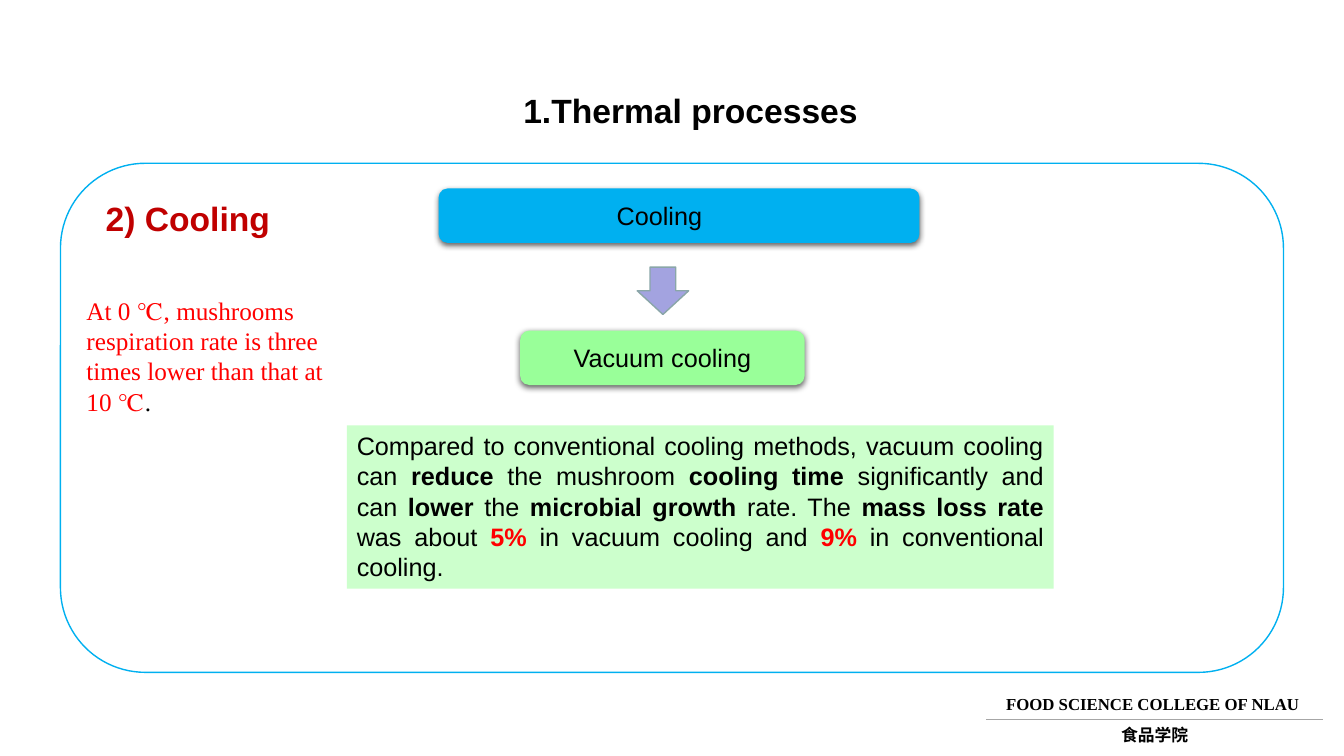
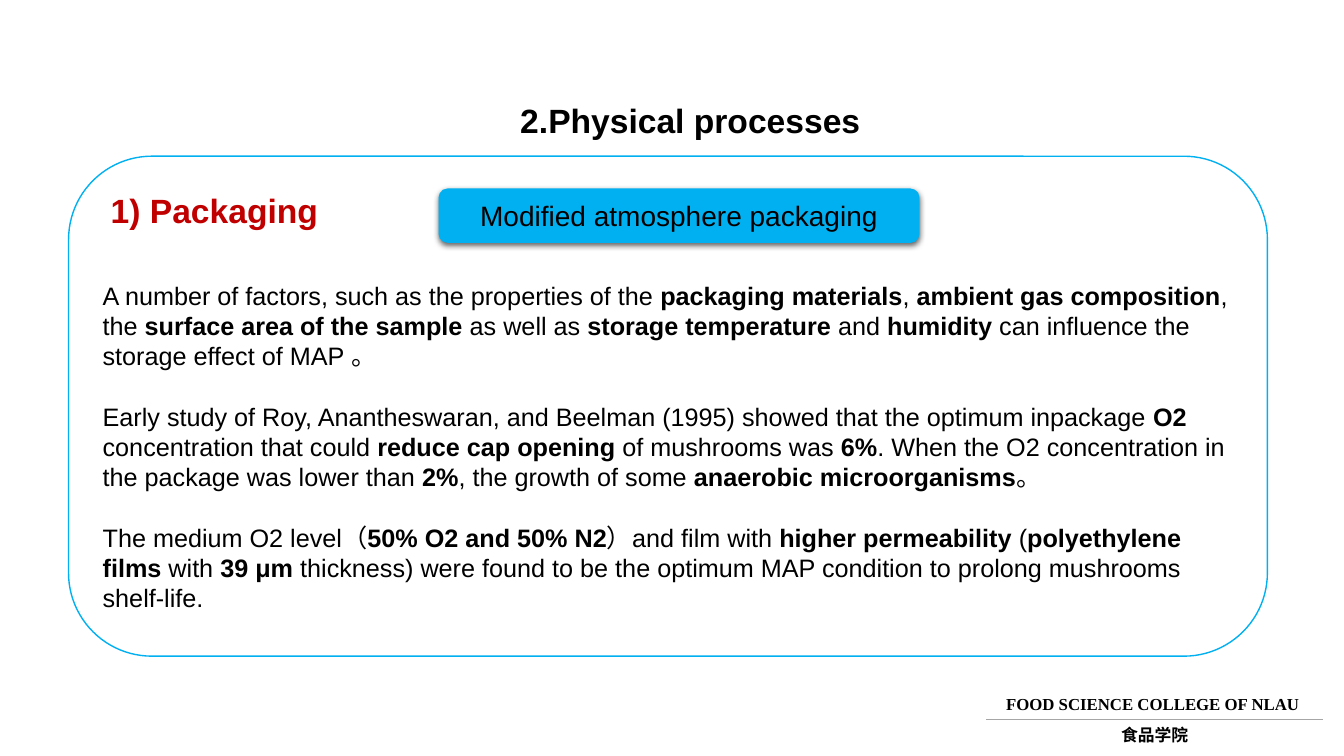
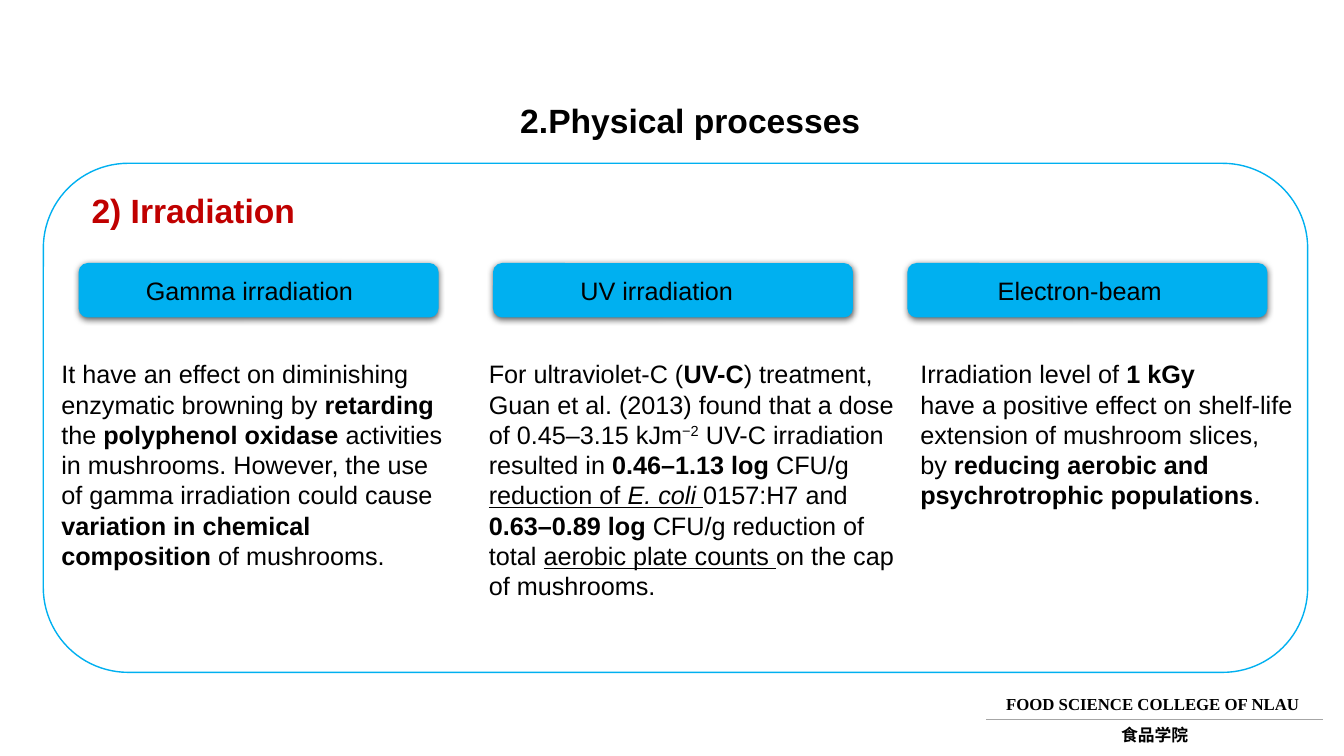
"""Build three slides on thermal and physical processing of mushrooms."""
from lxml import etree
from pptx import Presentation
from pptx.dml.color import RGBColor
from pptx.enum import shapes, text
from pptx.oxml import ns
from pptx.util import Inches, Pt

BLACK = RGBColor(0x00, 0x00, 0x00)
WHITE = RGBColor(0xFF, 0xFF, 0xFF)
RED = RGBColor(0xFF, 0x00, 0x00)
DARK_RED = RGBColor(0xC0, 0x00, 0x00)
BLUE = RGBColor(0x00, 0xB0, 0xF0)
GREEN = RGBColor(0x99, 0xFF, 0x99)
PALE_GREEN = RGBColor(0xCC, 0xFF, 0xCC)
LILAC = RGBColor(0xA3, 0xA3, 0xE0)
SLATE = RGBColor(0x8A, 0xA6, 0xA8)
GREY = RGBColor(0xA6, 0xA6, 0xA6)

SANS, SERIF, CJK = "Arial", "Times New Roman", "Noto Sans CJK SC"
INSET = 0.1
PILL_HEIGHT = 0.54

FOOTERS = [
    ("FOOD SCIENCE COLLEGE OF NLAU", SERIF, (9.88, 6.83, 3.17, 0.3)),
    ("食品学院", CJK, (11.02, 7.14, 0.88, 0.3)),
]

# Styles: b bold, i italic, u underlined, r red, ^ superscript
VACUUM_COOLING = [[
    "Compared to conventional cooling methods, vacuum cooling can ", ("reduce", "b"),
    " the mushroom ", ("cooling time ", "b"), "significantly and can ", ("lower", "b"),
    " the ", ("microbial growth", "b"), " rate. The ", ("mass loss rate ", "b"),
    "was about ", ("5% ", "br"), "in vacuum cooling and ", ("9%", "br"),
    " in conventional cooling.",
]]
RESPIRATION = [[
    ("At 0 ℃, mushrooms respiration rate is three times lower than that at 10 ℃", "r"), ".",
]]
PACKAGING = [
    ["A number of factors, such as the properties of the ", ("packaging materials", "b"),
     ", ", ("ambient gas composition", "b"), ", the ",
     ("surface area of the sample ", "b"), "as well as ", ("storage temperature ", "b"),
     "and ", ("humidity", "b"), " can influence the storage effect of MAP 。"],
    ["Early study of Roy, Anantheswaran, and Beelman (1995) showed that the optimum "
     "inpackage ", ("O2", "b"), " concentration that could ", ("reduce cap opening ", "b"),
     "of mushrooms was ", ("6%", "b"),
     ". When the O2 concentration in the package was lower than ", ("2%", "b"),
     ", the growth of some ", ("anaerobic microorganisms", "b"), "。"],
    ["The medium O2 level（", ("50% O2 and 50% N2", "b"), "）and film with ",
     ("higher permeability ", "b"), "(", ("polyethylene films", "b"), " with ",
     ("39 μm ", "b"), "thickness) were found to be the optimum MAP condition to "
     "prolong mushrooms shelf-life."],
]
IRRADIATION = [
    ("Gamma irradiation", 1.32, 0.51, 4, [
        ["It have an effect on diminishing enzymatic browning by ", ("retarding", "b"),
         " the ", ("polyphenol oxidase ", "b"),
         "activities in mushrooms. However, the use of gamma irradiation could cause ",
         ("variation in chemical composition ", "b"), "of mushrooms."],
    ]),
    ("UV irradiation", 5.63, 4.75, 4.29, [
        ["For ultraviolet-C (", ("UV-C", "b"),
         ") treatment, Guan et al. (2013) found that a dose of 0.45–3.15 kJm",
         ("−2", "^"), " UV-C irradiation"],
        ["resulted in ", ("0.46–1.13 log ", "b"), "CFU/g ", ("reduction of ", "u"),
         ("E. coli ", "ui"), "0157:H7 and"],
        [("0.63–0.89 log ", "b"), "CFU/g reduction of total ",
         ("aerobic plate counts ", "u"), "on the cap"],
        ["of mushrooms."],
    ]),
    ("Electron-beam", 9.77, 9.03, 3.89, [
        ["Irradiation level of ", ("1 kGy", "b")],
        ["have a positive effect on shelf-life extension of mushroom slices, by ",
         ("reducing aerobic and psychrotrophic populations", "b"), "."],
    ]),
]
SLIDES = [
    ("1.Thermal processes", (5.09, 0.84, 3.7, 0.51), (0.6, 1.62, 12.13, 5.05),
     "2) Cooling", (0.95, 1.91)),
    ("2.Physical processes", (5.06, 0.94, 3.63, 0.51), (0.68, 1.55, 11.89, 4.96),
     "1) Packaging", (1, 1.83)),
    ("2.Physical processes", (5.06, 0.94, 3.63, 0.51), (0.43, 1.62, 12.54, 5.05),
     "2) Irradiation", (0.81, 1.83)),
]


def inches(box):
    return [Inches(value) for value in box]


def write(shape, paragraphs, size=18, font=SANS, color=BLACK, bold=False,
          align=text.PP_ALIGN.LEFT, anchor=text.MSO_ANCHOR.TOP, gap=0):
    frame = shape.text_frame
    frame.word_wrap = True
    frame.auto_size = text.MSO_AUTO_SIZE.NONE
    frame.vertical_anchor = anchor
    for index, pieces in enumerate(paragraphs):
        paragraph = frame.add_paragraph() if index else frame.paragraphs[0]
        paragraph.alignment = align
        paragraph.space_before = Pt(gap if index else 0)
        if font != CJK:
            paragraph.line_spacing = Pt(size * 1.2)
        for piece in pieces:
            words, style = (piece, "") if isinstance(piece, str) else piece
            run = paragraph.add_run()
            run.text = words
            run.font.name = font
            run.font.size = Pt(size)
            run.font.bold = bold or "b" in style
            run.font.italic = "i" in style
            run.font.underline = "u" in style
            run.font.color.rgb = RED if "r" in style else color
            if "^" in style:
                list(shape.element.iter(ns.qn("a:rPr")))[-1].set("baseline", "30000")
    return shape


def add_text(slide, box, paragraphs, **style):
    return write(slide.shapes.add_textbox(*inches(box)), paragraphs, **style)


def add_block(slide, kind, box, fill, line=None):
    shape = slide.shapes.add_shape(kind, *inches(box))
    shape.shadow.inherit = False
    shape.fill.solid()
    shape.fill.fore_color.rgb = fill
    if line is None:
        shape.line.fill.background()
    else:
        shape.line.color.rgb = line
        shape.line.width = Pt(1)
    return shape


def add_pill(slide, left, top, width, label, label_left=None, fill=BLUE, size=18):
    shape = add_block(slide, shapes.MSO_SHAPE.ROUNDED_RECTANGLE,
                      (left, top, width, PILL_HEIGHT), fill)
    effects = shape.element.spPr.find(ns.qn("a:effectLst"))
    shadow = etree.SubElement(effects, ns.qn("a:outerShdw"), blurRad=str(Pt(4.5)),
                              dist=str(Pt(1.5)), dir="5400000", rotWithShape="0")
    shade = etree.SubElement(shadow, ns.qn("a:srgbClr"), val=str(BLACK))
    etree.SubElement(shade, ns.qn("a:alpha"), val="63000")
    align = text.PP_ALIGN.CENTER
    if label_left is not None:
        align = text.PP_ALIGN.LEFT
        shape.text_frame.margin_left = Inches(label_left + INSET - left)
    write(shape, [[label]], size=size, align=align, anchor=text.MSO_ANCHOR.MIDDLE)


def add_footer(slide, layout):
    """Draw the footer and move it to the layout, so every slide shows it."""
    rule = slide.shapes.add_connector(shapes.MSO_CONNECTOR.STRAIGHT,
                                      *inches((13.12, 7.14, 9.78, 7.14)))
    rule.line.color.rgb = GREY
    rule.line.width = Pt(0.5)
    etree.SubElement(rule.element.spPr, ns.qn("a:effectLst"))
    parts = [rule]
    for words, font, box in FOOTERS:
        part = add_text(slide, box, [[words]], size=12, font=font, bold=True)
        if font == CJK:
            part.text_frame.word_wrap = False
            for properties in part.element.iter(ns.qn("a:rPr")):
                etree.SubElement(properties, ns.qn("a:ea"), typeface=font)
        parts.append(part)
    for part in parts:
        layout.shapes.element.append(part.element)


def add_base(slide, title, title_box, panel_box, heading, heading_at):
    placeholder = slide.shapes.title
    placeholder.left, placeholder.top, placeholder.width, placeholder.height = inches(title_box)
    write(placeholder, [[title]], size=24, bold=True)
    add_block(slide, shapes.MSO_SHAPE.ROUNDED_RECTANGLE, panel_box, WHITE, BLUE)
    add_text(slide, (*heading_at, 2.36, 0.51), [[heading]], size=24, color=DARK_RED, bold=True)


def fill_cooling(slide):
    add_pill(slide, 4.35, 1.87, 4.77, "Cooling", 5.99)
    add_block(slide, shapes.MSO_SHAPE.DOWN_ARROW, (6.32, 2.65, 0.51, 0.47), LILAC, SLATE)
    add_pill(slide, 5.16, 3.28, 2.82, "Vacuum cooling", fill=GREEN)
    note = add_text(slide, (3.44, 4.22, 7.01, 1.62), VACUUM_COOLING,
                    align=text.PP_ALIGN.JUSTIFY)
    note.fill.solid()
    note.fill.fore_color.rgb = PALE_GREEN
    add_text(slide, (0.76, 2.88, 2.76, 1.31), RESPIRATION, font=SERIF)


def fill_packaging(slide):
    add_pill(slide, 4.35, 1.87, 4.77, "Modified atmosphere packaging", size=20)
    add_text(slide, (0.92, 2.73, 11.5, 3.43), PACKAGING, gap=21.6)


def fill_irradiation(slide):
    for index, (label, label_left, left, width, paragraphs) in enumerate(IRRADIATION):
        add_pill(slide, 0.78 + index * 4.11, 2.61, 3.57, label, label_left)
        add_text(slide, (left, 3.51, width, 2.52), paragraphs)


def main():
    presentation = Presentation()
    presentation.slide_width, presentation.slide_height = inches((13.33, 7.5))
    layout = presentation.slide_layouts[5]
    for placeholder in list(layout.placeholders):
        if placeholder.placeholder_format.idx:
            layout.shapes.element.remove(placeholder.element)
    fillers = [fill_cooling, fill_packaging, fill_irradiation]
    for index, (base, fill) in enumerate(zip(SLIDES, fillers)):
        slide = presentation.slides.add_slide(layout)
        if index == 0:
            add_footer(slide, layout)
        add_base(slide, *base)
        fill(slide)
    presentation.save("out.pptx")


if __name__ == "__main__":
    main()
